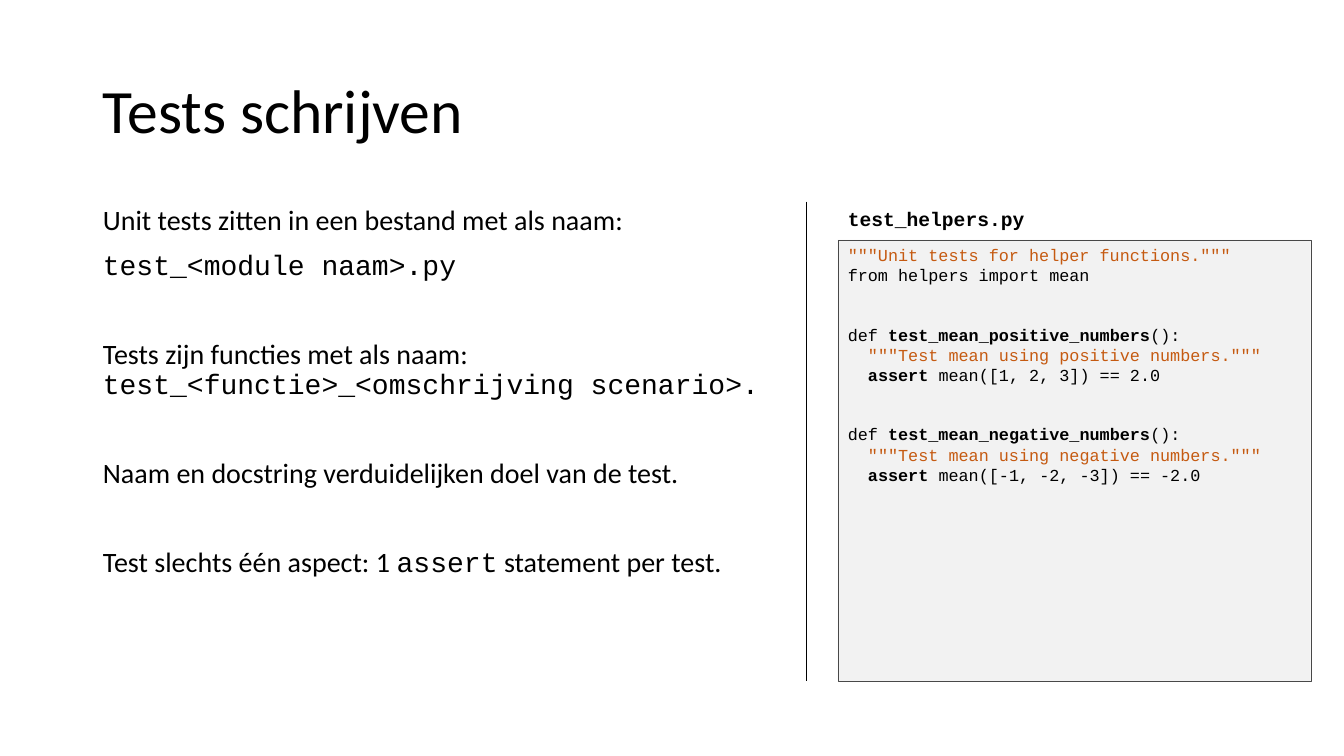
from dataclasses import dataclass

from lxml import etree
from pptx import Presentation
from pptx.dml.color import RGBColor
from pptx.enum.shapes import MSO_CONNECTOR, MSO_SHAPE
from pptx.enum.text import MSO_ANCHOR, MSO_AUTO_SIZE, PP_ALIGN
from pptx.oxml.ns import qn
from pptx.util import Inches, Pt

LEFT = PP_ALIGN.LEFT
TOP = MSO_ANCHOR.TOP
MIDDLE = MSO_ANCHOR.MIDDLE
NO_FIT = MSO_AUTO_SIZE.NONE
RECTANGLE = MSO_SHAPE.RECTANGLE
STRAIGHT = MSO_CONNECTOR.STRAIGHT


@dataclass(frozen=True)
class Theme:
    """Colours, fonts and type sizes of the slide."""

    ink: RGBColor = RGBColor(0x00, 0x00, 0x00)
    docstring: RGBColor = RGBColor(0xC5, 0x5A, 0x11)
    panel: RGBColor = RGBColor(0xF2, 0xF2, 0xF2)
    border: RGBColor = RGBColor(0x48, 0x48, 0x48)
    prose_font: str = "Calibri"
    code_font: str = "Courier New"
    title_size: Pt = Pt(44)
    body_size: Pt = Pt(20)
    label_size: Pt = Pt(14)
    code_size: Pt = Pt(12)


THEME = Theme()

STYLES = {
    "title": {"name": THEME.prose_font, "size": THEME.title_size},
    "prose": {"name": THEME.prose_font, "size": THEME.body_size},
    "mono": {"name": THEME.code_font, "size": THEME.body_size},
    "label": {"name": THEME.code_font, "size": THEME.label_size, "bold": True},
    "code": {"name": THEME.code_font, "size": THEME.code_size},
    "strong": {"name": THEME.code_font, "size": THEME.code_size, "bold": True},
    "docstring": {"name": THEME.code_font, "size": THEME.code_size},
}

BODY_SPACING = {"alignment": LEFT, "line_spacing": 0.9}
CODE_SPACING = {"alignment": LEFT, "line_spacing": 1.0}
BODY_GAP = 10
SECTION_GAP = 42
FUNCTION_GAP = 28

COLUMN_TOP = 2
COLUMN_BOTTOM = 6.76
CODE_LEFT = 8.31
CODE_TOP = 2.38
CODE_WIDTH = 4.69

BODY = [
    (0, [("Unit tests zitten in een bestand met als naam:", "prose")]),
    (BODY_GAP, [("test_<module naam>.py", "mono")]),
    (SECTION_GAP, [("Tests zijn functies met als naam: ", "prose"),
                   ("test_<functie>_<omschrijving scenario>.", "mono")]),
    (SECTION_GAP, [("Naam en docstring verduidelijken doel van de test.", "prose")]),
    (SECTION_GAP, [("Test slechts één aspect: 1 ", "prose"), ("assert", "mono"),
                   (" statement per test.", "prose")]),
]

TEST_CASES = [
    ("positive", "mean([1, 2, 3]) == 2.0"),
    ("negative", "mean([-1, -2, -3]) == -2.0"),
]


def set_attributes(target, values):
    """Set every attribute in a dict of values."""
    for name, value in values.items():
        setattr(target, name, value)


def place(shape, left, top, width, height):
    """Move and size a shape in inches."""
    set_attributes(shape, {"left": Inches(left), "top": Inches(top),
                           "width": Inches(width), "height": Inches(height)})


def write_text(shape, paragraphs, spacing, anchor=TOP):
    """Fill a shape with paragraphs of styled runs."""
    frame = shape.text_frame
    set_attributes(frame, {"word_wrap": True, "auto_size": NO_FIT,
                           "vertical_anchor": anchor})
    for index, (gap, runs) in enumerate(paragraphs):
        paragraph = frame.add_paragraph() if index else frame.paragraphs[0]
        set_attributes(paragraph, {**spacing, "space_before": Pt(gap)})
        for text, style in runs:
            run = paragraph.add_run()
            run.text = text
            set_attributes(run.font, STYLES[style])
            run.font.color.rgb = THEME.docstring if style == "docstring" else THEME.ink


def remove_bullets(shape):
    """Turn off bullets and indents in a list placeholder."""
    for paragraph in shape.text_frame.paragraphs:
        properties = paragraph._p.get_or_add_pPr()
        properties.set("marL", "0")
        properties.set("indent", "0")
        etree.SubElement(properties, qn("a:buNone"))


def add_code_panel(slide, paragraphs):
    """Add the shaded rectangle that holds the code."""
    panel = slide.shapes.add_shape(
        RECTANGLE, Inches(CODE_LEFT), Inches(CODE_TOP),
        Inches(CODE_WIDTH), Inches(COLUMN_BOTTOM - CODE_TOP))
    panel.shadow.inherit = False
    panel.fill.solid()
    panel.fill.fore_color.rgb = THEME.panel
    panel.line.color.rgb = THEME.border
    panel.line.width = Pt(0.25)
    write_text(panel, paragraphs, CODE_SPACING)


def add_label(slide, text):
    """Add the file name above the code panel."""
    label = slide.shapes.add_textbox(
        Inches(CODE_LEFT), Inches(COLUMN_TOP), Inches(CODE_WIDTH), Inches(0.34))
    write_text(label, [(0, [(text, "label")])], CODE_SPACING)


def add_divider(slide, left):
    """Add the vertical line between the columns."""
    divider = slide.shapes.add_connector(
        STRAIGHT, Inches(left), Inches(COLUMN_TOP), Inches(left), Inches(COLUMN_BOTTOM))
    divider.line.color.rgb = THEME.ink
    divider.line.width = Pt(1)
    etree.SubElement(divider._element.spPr, qn("a:effectLst"))


def code_paragraphs():
    """Return the code of the test module as styled paragraphs."""
    paragraphs = [
        (0, [('"""Unit tests for helper functions."""', "docstring")]),
        (0, [("from helpers import mean", "code")]),
    ]
    for sign, check in TEST_CASES:
        paragraphs += [
            (FUNCTION_GAP, [("def ", "code"), (f"test_mean_{sign}_numbers", "strong"),
                            ("():", "code")]),
            (0, [("  ", "code"), (f'"""Test mean using {sign} numbers."""', "docstring")]),
            (0, [("  ", "code"), ("assert", "strong"), (f" {check}", "code")]),
        ]
    return paragraphs


def main():
    """Build the slide and save it."""
    presentation = Presentation()
    presentation.slide_width = Inches(13.33)
    presentation.slide_height = Inches(7.5)
    slide = presentation.slides.add_slide(presentation.slide_layouts[1])

    title = slide.shapes.title
    place(title, 0.92, 0.4, 11.5, 1.45)
    write_text(title, [(0, [("Tests schrijven", "title")])], BODY_SPACING, MIDDLE)

    body = slide.placeholders[1]
    place(body, 0.92, COLUMN_TOP, 6.85, COLUMN_BOTTOM - COLUMN_TOP)
    write_text(body, BODY, BODY_SPACING)
    remove_bullets(body)

    add_code_panel(slide, code_paragraphs())
    add_label(slide, "test_helpers.py")
    add_divider(slide, 8)
    presentation.save("out.pptx")


if __name__ == "__main__":
    main()
